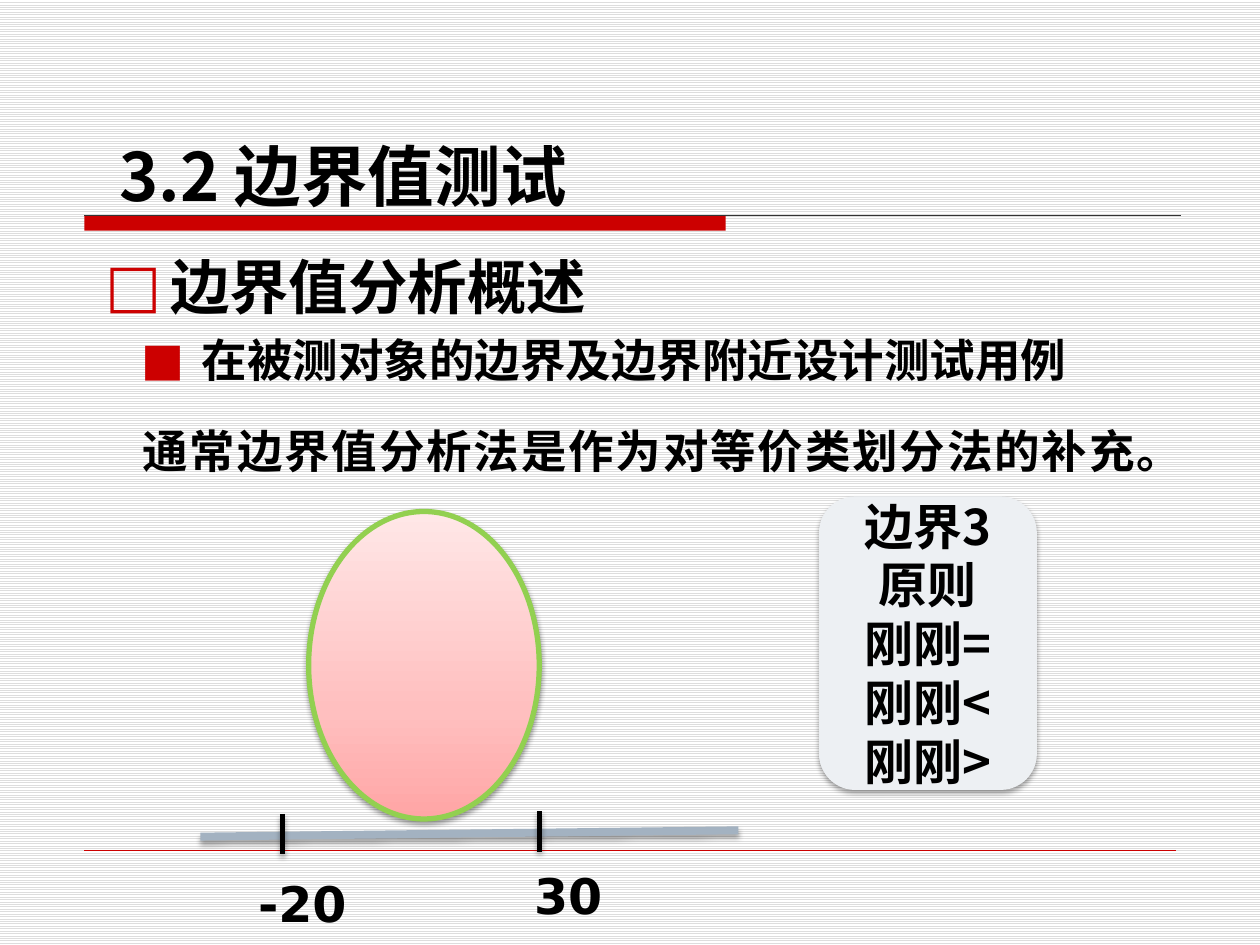
from lxml import etree
from pptx import Presentation
from pptx.dml.color import RGBColor
from pptx.enum.dml import MSO_PATTERN
from pptx.enum.shapes import MSO_CONNECTOR, MSO_SHAPE
from pptx.enum.text import MSO_ANCHOR, PP_ALIGN
from pptx.oxml import parse_xml
from pptx.oxml.ns import nsdecls, qn
from pptx.util import Inches, Pt

RED = RGBColor(0xCC, 0x00, 0x00)
BLACK = RGBColor(0, 0, 0)
DARK = RGBColor(0x33, 0x33, 0x33)
GREEN = RGBColor(0x92, 0xD0, 0x50)
STEEL = RGBColor(0xA3, 0xB2, 0xC1)
PALE = RGBColor(0xED, 0xF0, 0xF3)
GRAY = RGBColor(0xDD, 0xDD, 0xDD)
WHITE = RGBColor(0xFF, 0xFF, 0xFF)
SANS, CJK = "DejaVu Sans", "Noto Sans CJK SC"

# Content
HEAD = "3.2 边界值测试"
TOPIC = "边界值分析概述"
POINTS = [  # text, indent, hanging, bullet
    ("在被测对象的边界及边界附近设计测试用例", 0.99, -0.48, "■"),
    ("通常边界值分析法是作为对等价类划分法的补充。", 0.52, 0, None),
]
RULES = ["边界3原则", "刚刚=", "刚刚<", "刚刚>"]
STOPS = [(0, "FFA5A5"), (35, "FFBFBF"), (100, "FFE7E7")]
TICKS = [(2.24, 6.46), (4.28, 6.44)]  # x, top
LABELS = [("-20", 1.95, 6.88, 1.87), ("30", 4.14, 6.82, 0.89)]


def box(*spot):
    return [Inches(v) for v in spot]


def place(item, *spot):
    item.left, item.top, item.width, item.height = box(*spot)
    return item


def bullet(para, mark, left, hang):
    props = para._p.get_or_add_pPr()
    props.set("marL", str(Inches(left)))
    props.set("indent", str(Inches(hang)))
    if not mark:
        etree.SubElement(props, qn("a:buNone"))
        return
    color = etree.SubElement(props, qn("a:buClr"))
    etree.SubElement(color, qn("a:srgbClr"), val=str(RED))
    etree.SubElement(props, qn("a:buFont"), typeface=SANS)
    etree.SubElement(props, qn("a:buChar"), char=mark)


def write(para, text, size=28, font=SANS, align=None, line=None, before=0):
    para.alignment = align
    para.space_before = Pt(before)
    if line:
        para.line_spacing = line
    run = para.add_run()
    run.text = text
    run.font.size, run.font.bold, run.font.name = Pt(size), True, font
    run.font.color.rgb = BLACK
    etree.SubElement(run._r.get_or_add_rPr(), qn("a:ea"), typeface=CJK)


def effect(item, alpha=None, dist=1.8):
    """Give an item a soft shadow below it, or none."""
    shade = "" if alpha is None else (
        f'<a:outerShdw blurRad="{Pt(3.1)}" dist="{Pt(dist)}" dir="5400000" '
        f'rotWithShape="0"><a:srgbClr val="000000">'
        f'<a:alpha val="{alpha * 1000}"/></a:srgbClr></a:outerShdw>')
    item._element.spPr.append(parse_xml(
        f'<a:effectLst {nsdecls("a")}>{shade}</a:effectLst>'))


def stroke(x1, y1, x2, y2, color, width, alpha=None):
    line = slide.shapes.add_connector(
        MSO_CONNECTOR.STRAIGHT, *box(x1, y1, x2, y2))
    line.line.color.rgb, line.line.width = color, Pt(width)
    effect(line, alpha)


def solid(kind, spot, color):
    item = slide.shapes.add_shape(kind, *box(*spot))
    item.fill.solid()
    item.fill.fore_color.rgb = color
    item.line.fill.background()
    return item


def label(text, spot, wrap=True, **form):
    frame = slide.shapes.add_textbox(*box(*spot)).text_frame
    frame.word_wrap = wrap
    write(frame.paragraphs[0], text, **form)


deck = Presentation()
deck.slide_width, deck.slide_height = box(10, 7.5)
slide = deck.slides.add_slide(deck.slide_layouts[1])

# Striped background
back = slide.background.fill
back.patterned()
back.pattern = MSO_PATTERN.LIGHT_HORIZONTAL
back.fore_color.rgb, back.back_color.rgb = GRAY, WHITE

# Header bar and rules
solid(MSO_SHAPE.RECTANGLE, (0.67, 1.71, 5.09, 0.12), RED).shadow.inherit = False
stroke(0.67, 1.71, 9.37, 1.71, DARK, 0.75)
stroke(0.67, 6.75, 9.33, 6.75, RED, 0.25)

# Topic and points
title = place(slide.shapes.title, 0.74, 1.98, 8.58, 0.62).text_frame
title.vertical_anchor = MSO_ANCHOR.BOTTOM
para = title.paragraphs[0]
bullet(para, "□", 0.51, -0.51)
write(para, TOPIC, size=34, align=PP_ALIGN.JUSTIFY)

body = place(slide.placeholders[1], 0.51, 2.38, 8.62, 4.78).text_frame
for i, (text, left, hang, mark) in enumerate(POINTS):
    para = body.add_paragraph() if i else body.paragraphs[0]
    para.level = 1
    bullet(para, mark, left, hang)
    write(para, text, size=26, align=PP_ALIGN.JUSTIFY, line=Pt(46),
          before=6 if i else 0)

# Ellipse above the number line
oval = solid(MSO_SHAPE.OVAL, (2.45, 4.06, 1.83, 2.44), PALE)
oval.fill.gradient()
oval.fill.gradient_angle = 90
stops = oval._element.spPr.find(qn("a:gradFill")).find(qn("a:gsLst"))
for old in list(stops):
    stops.remove(old)
for pos, color in STOPS:
    stop = etree.SubElement(stops, qn("a:gs"), pos=str(pos * 1000))
    etree.SubElement(stop, qn("a:srgbClr"), val=color)
oval.line.color.rgb, oval.line.width = GREEN, Pt(3)
effect(oval, 38, 1.6)

# Number line
stroke(1.59, 6.64, 5.86, 6.59, STEEL, 4.5, 35)
for x, top in TICKS:
    stroke(x, top, x, top + 0.32, BLACK, 3, 35)
for text, x, y, width in LABELS:
    label(text, (x, y, width, 0.57))

# Boundary rules
card = solid(MSO_SHAPE.ROUNDED_RECTANGLE, (6.5, 3.94, 1.73, 2.33), PALE)
effect(card, 35)
frame = card.text_frame
frame.word_wrap, frame.vertical_anchor = True, MSO_ANCHOR.MIDDLE
for i, text in enumerate(RULES):
    para = frame.add_paragraph() if i else frame.paragraphs[0]
    write(para, text, font=CJK, align=PP_ALIGN.CENTER, line=Pt(33.6))

# Section heading
label(HEAD, (0.85, 0.96, 3.95, 0.74), wrap=False, size=38, font=CJK, line=Pt(50))

deck.save("out.pptx")
